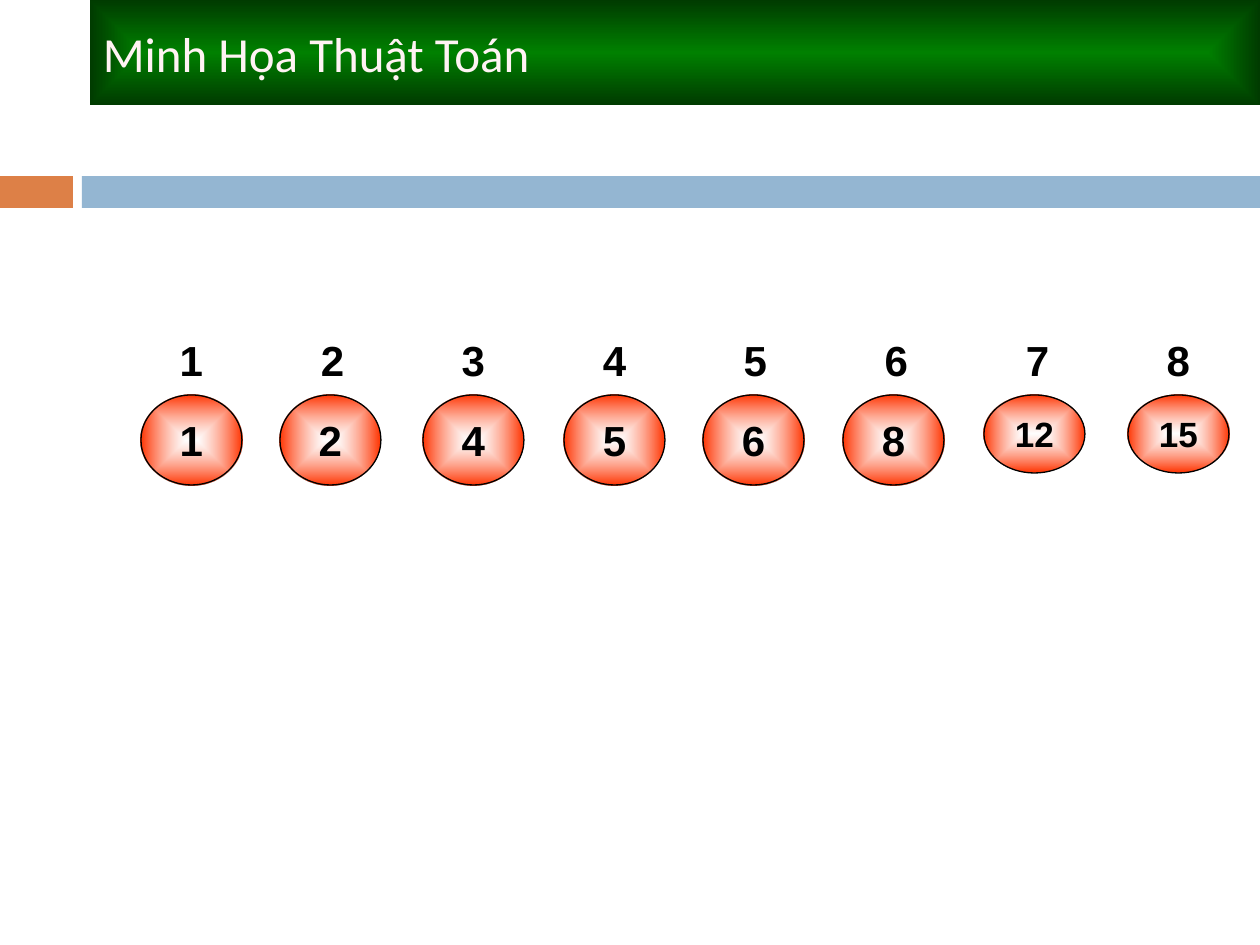
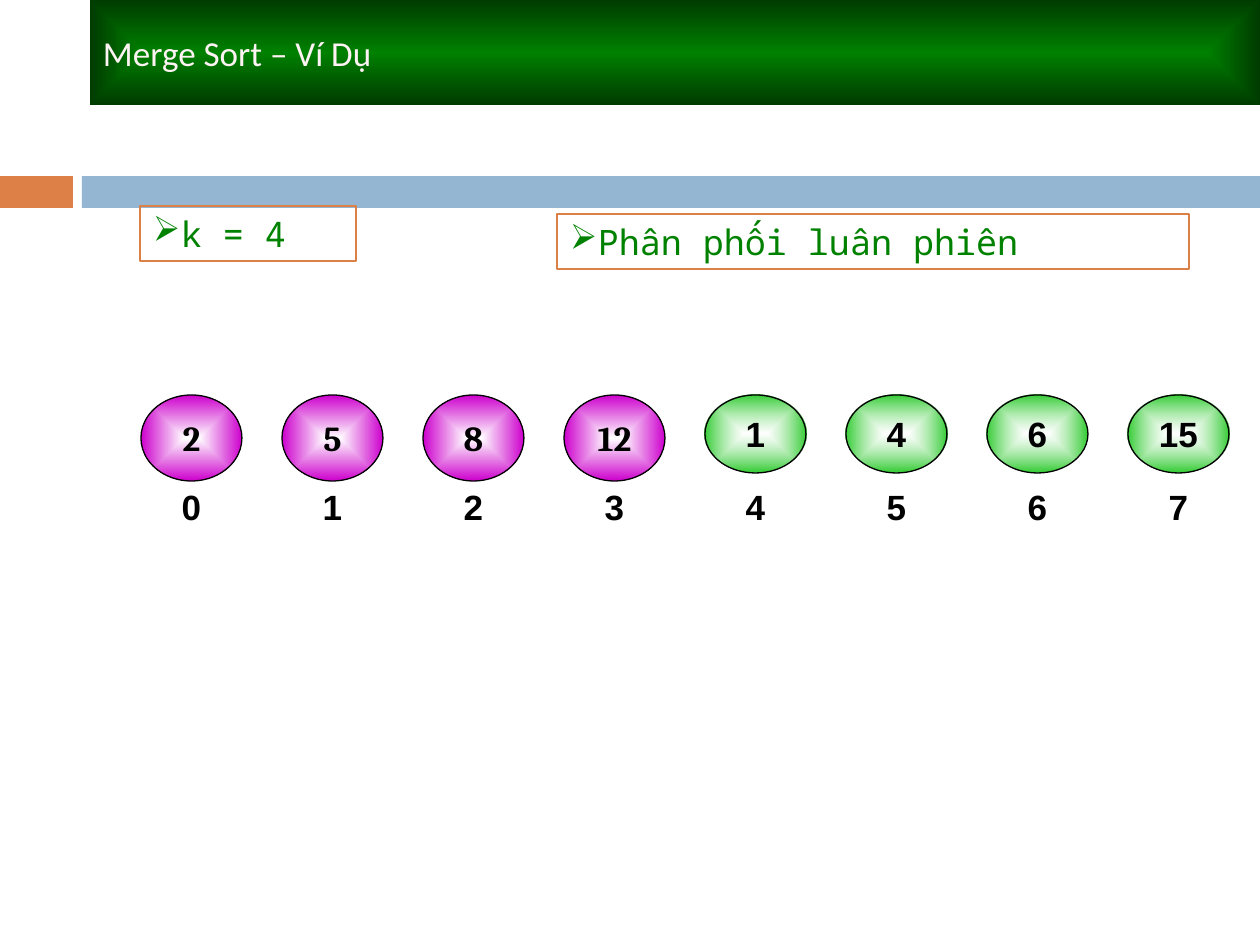
from dataclasses import dataclass
from typing import Any, Optional

from lxml.etree import SubElement
from pptx import Presentation
from pptx.dml.color import RGBColor
from pptx.enum.shapes import MSO_SHAPE
from pptx.enum.text import MSO_ANCHOR, PP_ALIGN
from pptx.oxml.ns import qn
from pptx.util import Emu, Pt

PX = 914400 / 126
SLIDE_WIDTH, SLIDE_HEIGHT = 1260, 945
FIRST_LEFT, PITCH, NODE_WIDTH = 141, 141, 101
NODE_TOP = 395

BLACK = "000000"
ORANGE = "DD8047"
BLUE = "94B6D2"
GREEN = "008200"
TITLE_COLOR = "FFF3F3"


def px(length: int) -> Emu:
    return Emu(round(length * PX))


def rgb(value: str) -> RGBColor:
    return RGBColor.from_string(value)


@dataclass(frozen=True)
class Box:
    left: int
    top: int
    width: int
    height: int


@dataclass(frozen=True)
class Gradient:
    center: str
    edge: str
    center_opacity: int = 100


@dataclass(frozen=True)
class Style:
    font: str = "Arial"
    size: int = 20
    color: str = BLACK
    bold: bool = False
    align: PP_ALIGN = PP_ALIGN.LEFT
    fill: Optional[str] = None
    gradient: Optional[Gradient] = None
    line: Optional[str] = None
    bullet: str = ""
    preset: MSO_SHAPE = MSO_SHAPE.RECTANGLE


@dataclass(frozen=True)
class Node:
    value: str
    height: int
    style: Style
    nudge: int = 0


def node_style(size: int, gradient: Optional[Gradient] = None, font: str = "Arial") -> Style:
    return Style(font, size, bold=True, align=PP_ALIGN.CENTER, gradient=gradient,
                 line=BLACK if gradient else None, preset=MSO_SHAPE.OVAL)


TITLE_GRADIENT = Gradient("008000", "003B00")
RED = Gradient("FFFFFF", "FF3300", 60)
PURPLE = Gradient("FFFFFF", "CC00CC")
LIME = Gradient("FFFFFF", "33CC33", 60)

LARGE_RED = node_style(24, RED)
SMALL_RED = node_style(20, RED)
LEFT_RUN = node_style(20, PURPLE, "Cambria")
RIGHT_RUN = node_style(20, LIME)
NOTE = Style("Noto Sans Mono", 20, GREEN, line=ORANGE, bullet="➢")


def set_values(target: Any, values: dict[str, Any]) -> None:
    for name, value in values.items():
        setattr(target, name, value)


def paint_gradient(shape: Any, gradient: Gradient) -> None:
    shape.fill.gradient()
    for stop, color in zip(shape.fill.gradient_stops, (gradient.center, gradient.edge)):
        stop.color.rgb = rgb(color)
    element = shape.element.spPr.find(qn("a:gradFill"))
    if gradient.center_opacity < 100:
        center = element.find(".//" + qn("a:srgbClr"))
        SubElement(center, qn("a:alpha"), val=str(gradient.center_opacity * 1000))
    element.remove(element.find(qn("a:lin")))
    path = SubElement(element, qn("a:path"), path="rect")
    SubElement(path, qn("a:fillToRect"), dict.fromkeys("ltrb", "50000"))


def add_bullet(paragraph: Any, character: str, color: str) -> None:
    properties = paragraph._p.get_or_add_pPr()
    set_values(properties, {})
    properties.set("marL", "0")
    properties.set("indent", "0")
    bullet_color = SubElement(properties, qn("a:buClr"))
    SubElement(bullet_color, qn("a:srgbClr"), val=color)
    SubElement(properties, qn("a:buChar"), char=character)


def write_text(shape: Any, text: str, style: Style) -> None:
    frame = shape.text_frame
    set_values(frame, {
        "word_wrap": style.align == PP_ALIGN.LEFT,
        "vertical_anchor": MSO_ANCHOR.MIDDLE,
        "margin_left": px(13), "margin_right": px(13),
        "margin_top": px(6), "margin_bottom": px(6),
    })
    paragraph = frame.paragraphs[0]
    paragraph.alignment = style.align
    if style.bullet:
        add_bullet(paragraph, style.bullet, style.color)
    run = paragraph.add_run()
    run.text = text
    set_values(run.font, {"name": style.font, "size": Pt(style.size), "bold": style.bold})
    run.font.color.rgb = rgb(style.color)


def draw(slide: Any, box: Box, style: Style, text: str = "") -> None:
    shape = slide.shapes.add_shape(
        style.preset, px(box.left), px(box.top), px(box.width), px(box.height))
    shape.shadow.inherit = False
    if style.gradient:
        paint_gradient(shape, style.gradient)
    elif style.fill:
        shape.fill.solid()
        shape.fill.fore_color.rgb = rgb(style.fill)
    else:
        shape.fill.background()
    if style.line:
        shape.line.color.rgb = rgb(style.line)
        shape.line.width = Pt(0.75)
    else:
        shape.line.fill.background()
    if text:
        write_text(shape, text, style)


def start_slide(presentation: Any, title: str, title_size: int) -> Any:
    slide = presentation.slides.add_slide(presentation.slide_layouts[6])
    draw(slide, Box(0, 176, 73, 32), Style(fill=ORANGE))
    draw(slide, Box(82, 176, 1178, 32), Style(fill=BLUE))
    title_style = Style("Calibri", title_size, TITLE_COLOR, gradient=TITLE_GRADIENT)
    draw(slide, Box(90, 0, 1170, 105), title_style, title)
    return slide


def draw_nodes(slide: Any, top: int, nodes: list[Node]) -> None:
    for index, node in enumerate(nodes):
        left = FIRST_LEFT + index * PITCH + node.nudge
        draw(slide, Box(left, top, NODE_WIDTH, node.height), node.style, node.value)


def index_labels(first: int, height: int, size: int) -> list[Node]:
    return [Node(str(first + step), height, node_style(size)) for step in range(8)]


def build_sorted_slide(presentation: Any) -> None:
    slide = start_slide(presentation, "Minh Họa Thuật Toán", 28)
    values = (1, 2, 4, 5, 6, 8, 12, 15)
    nudges = (0, -2, 0, 0, -2, -3, -3, 0)
    nodes = [
        Node(str(value), 90, LARGE_RED, nudge) if value < 10
        else Node(str(value), 78, SMALL_RED, nudge)
        for value, nudge in zip(values, nudges)
    ]
    draw_nodes(slide, NODE_TOP, nodes)
    draw_nodes(slide, 315, index_labels(1, 90, 24))


def build_distribution_slide(presentation: Any) -> None:
    slide = start_slide(presentation, "Merge Sort – Ví Dụ", 20)
    nodes = [Node(str(value), 86, LEFT_RUN) for value in (2, 5, 8, 12)]
    nodes += [Node(str(value), 78, RIGHT_RUN) for value in (1, 4, 6, 15)]
    draw_nodes(slide, NODE_TOP, nodes)
    draw_nodes(slide, 468, index_labels(0, 78, 20))
    draw(slide, Box(140, 206, 216, 55), NOTE, "k = 4")
    draw(slide, Box(557, 214, 632, 55), NOTE, "Phân phối luân phiên")


def main() -> None:
    presentation = Presentation()
    set_values(presentation, {"slide_width": px(SLIDE_WIDTH), "slide_height": px(SLIDE_HEIGHT)})
    build_sorted_slide(presentation)
    build_distribution_slide(presentation)
    presentation.save("out.pptx")


if __name__ == "__main__":
    main()
